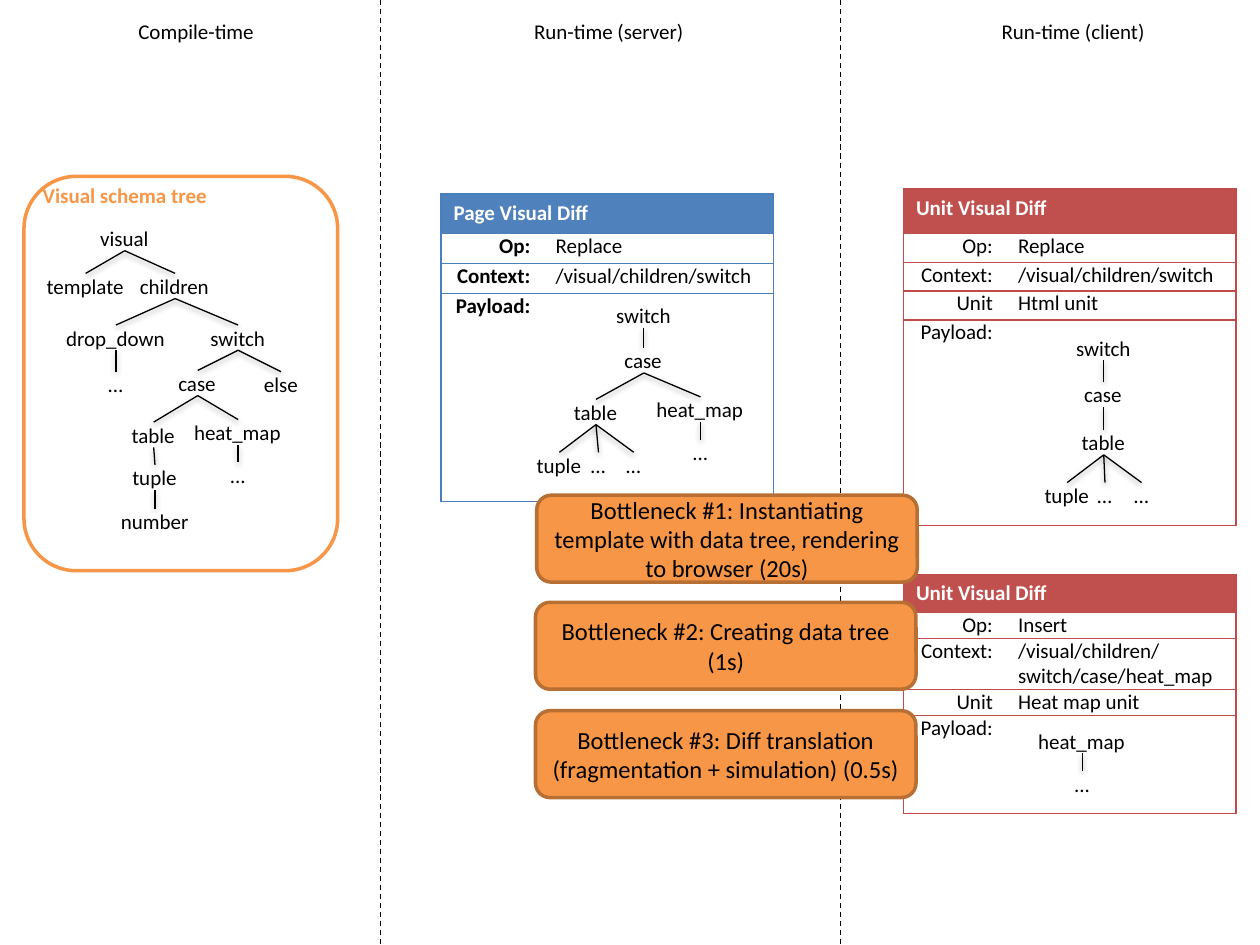
"""Build the slide on compile-time and run-time visual diffs with three bottlenecks."""
from pptx import Presentation
from pptx.dml.color import RGBColor
from pptx.enum.dml import MSO_LINE
from pptx.enum.shapes import MSO_CONNECTOR, MSO_SHAPE
from pptx.enum.text import MSO_ANCHOR, MSO_AUTO_SIZE, PP_ALIGN
from pptx.oxml.ns import qn
from pptx.util import Inches, Pt
from lxml.etree import SubElement

COLORS = {
    "black": "000000", "white": "FFFFFF", "orange": "F79646", "brown": "B76F34",
    "blue": "4F81BD", "blue_line": "4B7EBC", "red": "C0504D", "red_line": "BF4C48",
}
NODE_WIDTHS = {
    "visual": 0.39, "template": 0.62, "children": 0.56, "drop_down": 0.79,
    "switch": 0.44, "case": 0.31, "else": 0.27, "table": 0.35, "tuple": 0.36,
    "heat_map": 0.7, "number": 0.54, "...": 0.13, "…": 0.12,
}


def write(frame, text, size=12, color="black", bold=False, align=PP_ALIGN.LEFT):
    para = frame.paragraphs[0]
    para.alignment = align
    span = para.add_run()
    span.text = text
    span.font.name = "Calibri"
    span.font.size = Pt(size)
    span.font.bold = bold
    span.font.color.rgb = RGBColor.from_string(COLORS[color])


def add_label(shapes, text, left, top, width, height, inset=True, **style):
    box = shapes.add_textbox(Inches(left), Inches(top), Inches(width), Inches(height))
    frame = box.text_frame
    frame.word_wrap = False
    frame.auto_size = MSO_AUTO_SIZE.SHAPE_TO_FIT_TEXT
    if not inset:
        frame.margin_left = frame.margin_right = frame.margin_top = frame.margin_bottom = 0
    write(frame, text, **style)
    return box


deck = Presentation()
deck.slide_width, deck.slide_height = Inches(10), Inches(7.5)
page = deck.slides.add_slide(deck.slide_layouts[6])

diff_tables = [
    ("Page Visual Diff", 3.5, 1.54, "blue", True, [0.31, 0.24, 0.24, 1.65],
     [("Op:", "Replace"), ("Context:", "/visual/children/switch"), ("Payload:", "")]),
    ("Unit Visual Diff", 7.17, 1.5, "red", False, [0.35, 0.23, 0.23, 0.23, 1.63],
     [("Op:", "Replace"), ("Context:", "/visual/children/switch"),
      ("Unit", "Html unit"), ("Payload:", "")]),
    ("Unit Visual Diff", 7.17, 4.56, "red", False, [0.3, 0.2, 0.4, 0.2, 0.78],
     [("Op:", "Insert"), ("Context:", "/visual/children/switch/case/heat_map"),
      ("Unit", "Heat map unit"), ("Payload:", "")]),
]
for title, left, top, color, bold_keys, heights, fields in diff_tables:
    table = page.shapes.add_table(len(heights), 2, Inches(left), Inches(top),
                                  Inches(2.64), Inches(sum(heights))).table
    table.first_row = table.horz_banding = False
    table.columns[0].width, table.columns[1].width = Inches(0.81), Inches(1.83)
    for row, height in zip(table.rows, heights):
        row.height = Inches(height)
    table.cell(0, 0).merge(table.cell(0, 1))
    for row_index, texts in enumerate([(title, "")] + fields):
        for column, text in enumerate(texts):
            cell = table.cell(row_index, column)
            props = cell._tc.get_or_add_tcPr()
            inner_side = "" if row_index == 0 else ("lnR", "lnL")[column]
            for side in ("lnL", "lnR", "lnT", "lnB"):
                border = SubElement(props, qn(f"a:{side}"), w=str(Pt(0.75)))
                if side == inner_side:
                    SubElement(border, qn("a:noFill"))
                else:
                    solid = SubElement(border, qn("a:solidFill"))
                    SubElement(solid, qn("a:srgbClr"), val=COLORS[f"{color}_line"])
            if row_index == 0:
                cell.fill.solid()
                cell.fill.fore_color.rgb = RGBColor.from_string(COLORS[color])
                if text:
                    write(cell.text_frame, text, color="white", bold=True)
            else:
                cell.fill.background()
                cell.margin_top = cell.margin_bottom = 0
                if text:
                    write(cell.text_frame, text, bold=bold_keys and column == 0,
                          align=(PP_ALIGN.RIGHT, PP_ALIGN.LEFT)[column])

trees = [
    [("switch", 8.76, 2.66, None), ("case", 8.76, 3.03, 0), ("table", 8.76, 3.41, 1),
     ("tuple", 8.47, 3.83, 2), ("…", 8.77, 3.83, 2), ("…", 9.06, 3.83, 2)],
    [("switch", 5.11, 2.4, None), ("case", 5.11, 2.76, 0), ("table", 4.73, 3.17, 1),
     ("tuple", 4.44, 3.59, 2), ("…", 4.75, 3.59, 2), ("…", 5.03, 3.59, 2),
     ("heat_map", 5.56, 3.15, 1), ("...", 5.56, 3.49, 6)],
    [("heat_map", 8.59, 5.78, None), ("...", 8.59, 6.12, 0)],
    [("visual", 0.99, 1.79, None), ("template", 0.68, 2.17, 0), ("children", 1.39, 2.17, 0),
     ("drop_down", 0.92, 2.58, 2), ("...", 0.92, 2.95, 3), ("switch", 1.89, 2.58, 2),
     ("case", 1.57, 2.94, 5), ("else", 2.23, 2.95, 5), ("table", 1.22, 3.35, 6),
     ("tuple", 1.23, 3.69, 8), ("number", 1.23, 4.04, 9), ("heat_map", 1.89, 3.33, 6),
     ("...", 1.89, 3.67, 11)],
]
for tree in trees:
    group = page.shapes.add_group_shape()
    nodes = []
    for text, center, top, parent_index in tree:
        width = NODE_WIDTHS[text]
        node = add_label(group.shapes, text, center - width / 2, top, width, 0.2, inset=False)
        nodes.append(node)
        if parent_index is not None:
            parent = nodes[parent_index]
            branch = group.shapes.add_connector(
                MSO_CONNECTOR.STRAIGHT, parent.left, parent.top, node.left, node.top)
            branch.begin_connect(parent, 2)
            branch.end_connect(node, 0)
            branch.line.width = Pt(0.75)
            branch.line.color.rgb = RGBColor.from_string(COLORS["black"])

schema_frame = page.shapes.add_shape(MSO_SHAPE.ROUNDED_RECTANGLE, Inches(0.19), Inches(1.4),
                                     Inches(2.49), Inches(3.13))
schema_frame.shadow.inherit = False
schema_frame.fill.background()
schema_frame.line.width = Pt(2)
schema_frame.line.color.rgb = RGBColor.from_string(COLORS["orange"])
add_label(page.shapes, "Visual schema tree", 0.24, 1.4, 1.52, 0.3, color="orange", bold=True)

for x in (3.02, 6.67):
    divider = page.shapes.add_connector(MSO_CONNECTOR.STRAIGHT, Inches(x), 0,
                                        Inches(x), Inches(7.5))
    divider.line.width = Pt(0.75)
    divider.line.color.rgb = RGBColor.from_string(COLORS["black"])
    divider.line.dash_style = MSO_LINE.DASH
    SubElement(divider._element.spPr, qn("a:effectLst"))

for text, left, width in [("Compile-time", 1, 1.13), ("Run-time (server)", 4.14, 1.4),
                          ("Run-time (client)", 7.85, 1.35)]:
    add_label(page.shapes, text, left, 0.1, width, 0.3)

bottlenecks = [
    ("Bottleneck #1: Instantiating template with data tree, rendering to browser (20s)", 4.26, 3.93),
    ("Bottleneck #2: Creating data tree (1s)", 4.25, 4.78),
    ("Bottleneck #3: Diff translation (fragmentation + simulation) (0.5s)", 4.25, 5.64),
]
for text, left, top in bottlenecks:
    callout = page.shapes.add_shape(MSO_SHAPE.ROUNDED_RECTANGLE, Inches(left), Inches(top),
                                    Inches(3.02), Inches(0.69))
    callout.shadow.inherit = False
    callout.fill.solid()
    callout.fill.fore_color.rgb = RGBColor.from_string(COLORS["orange"])
    callout.line.width = Pt(2)
    callout.line.color.rgb = RGBColor.from_string(COLORS["brown"])
    callout.text_frame.word_wrap = True
    callout.text_frame.vertical_anchor = MSO_ANCHOR.MIDDLE
    write(callout.text_frame, text, size=14, align=PP_ALIGN.CENTER)

deck.save("out.pptx")
